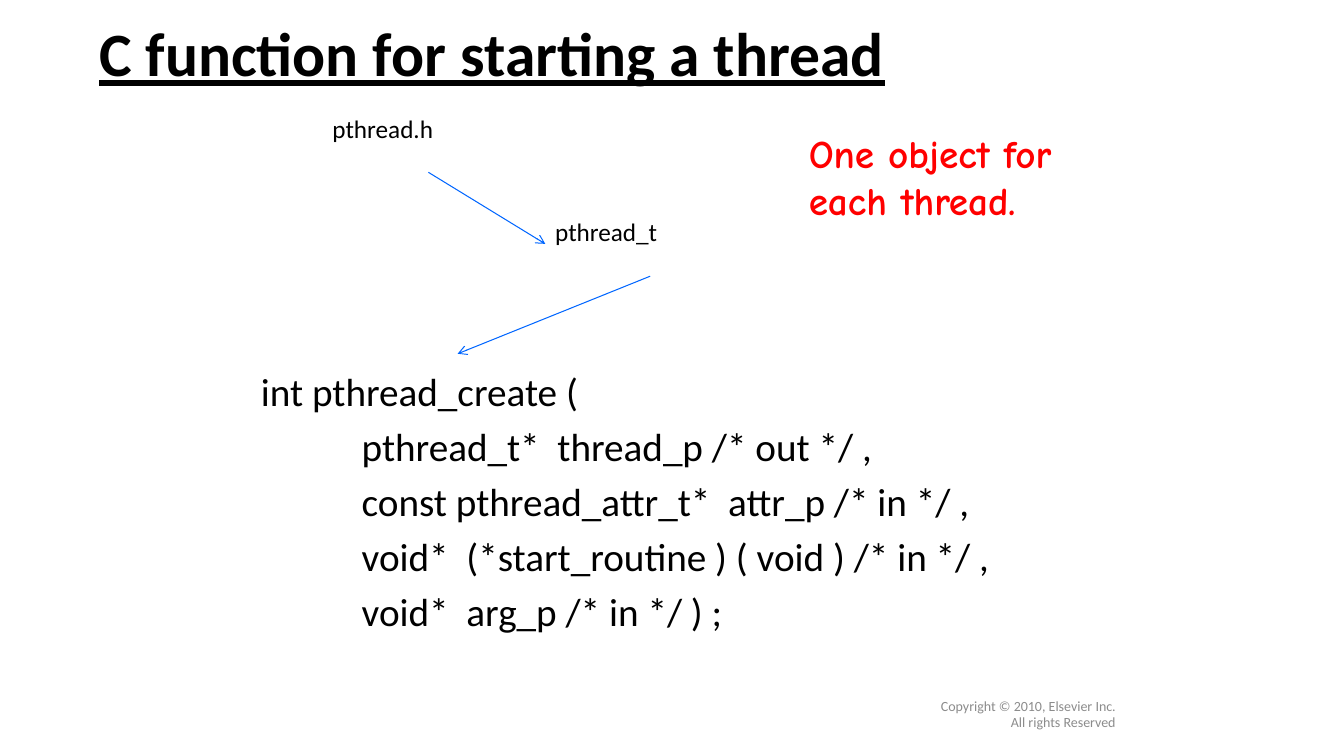
from pptx import Presentation
from pptx.dml.color import RGBColor
from pptx.enum.shapes import MSO_CONNECTOR
from pptx.enum.text import MSO_ANCHOR, MSO_AUTO_SIZE, PP_ALIGN
from pptx.oxml.ns import qn
from pptx.util import Pt
from lxml import etree

LINE = MSO_CONNECTOR.STRAIGHT
TOP, MID = MSO_ANCHOR.TOP, MSO_ANCHOR.MIDDLE
LEFT, RIGHT = PP_ALIGN.LEFT, PP_ALIGN.RIGHT
FIXED = MSO_AUTO_SIZE.NONE

BLACK, GREY, RED, BLUE = "000000", "8C8C8C", "FF0000", "0066FF"

CODE = [
    "int pthread_create (",
    "\tpthread_t*  thread_p /* out */ ,",
    "\tconst pthread_attr_t*  attr_p /* in */ ,",
    "\tvoid*  (*start_routine ) ( void ) /* in */ ,",
    "\tvoid*  arg_p /* in */ ) ;",
]


def color(code):
    return RGBColor.from_string(code)


def place(shape, left, top, width, height):
    shape.left, shape.top = Pt(left), Pt(top)
    shape.width, shape.height = Pt(width), Pt(height)


def add_tab(para, stop):
    tabs = etree.SubElement(para._p.get_or_add_pPr(), qn("a:tabLst"))
    etree.SubElement(tabs, qn("a:tab"), pos=str(Pt(stop)), algn="l")


def write(shape, lines, size=18, font="Calibri", ink=BLACK, bold=False,
          under=False, align=LEFT, anchor=TOP, wrap=True, gap=0, pitch=None,
          tab=None):
    frame = shape.text_frame
    frame.auto_size = FIXED
    frame.word_wrap = wrap
    frame.vertical_anchor = anchor
    for i, line in enumerate(lines):
        para = frame.add_paragraph() if i else frame.paragraphs[0]
        para.alignment = align
        para.space_before = Pt(gap if i else 0)
        if pitch:
            para.line_spacing = pitch
        if tab:
            add_tab(para, tab)
        run = para.add_run()
        run.text = line
        run.font.name, run.font.size = font, Pt(size)
        run.font.bold, run.font.underline = bold, under
        run.font.color.rgb = color(ink)


def label(slide, box, lines, **style):
    shape = slide.shapes.add_textbox(*map(Pt, box))
    write(shape, lines, **style)


def arrow(slide, start, end):
    link = slide.shapes.add_connector(LINE, *map(Pt, start + end))
    link.line.color.rgb = color(BLUE)
    link.line.width = Pt(0.75)
    edge = link.line._get_or_add_ln()
    etree.SubElement(edge, qn("a:tailEnd"), type="arrow")
    etree.SubElement(link._element.spPr, qn("a:effectLst"))


def main():
    deck = Presentation()
    deck.slide_width, deck.slide_height = Pt(960), Pt(540)
    slide = deck.slides.add_slide(deck.slide_layouts[5])

    # Title
    title = slide.shapes.title
    place(title, 63.6, -11.5, 828, 104.4)
    write(title, ["C function for starting a thread"], size=44, bold=True,
          under=True, anchor=MID, pitch=0.9)

    # Copyright line
    label(slide, (654, 492, 150, 36),
          ["Copyright © 2010, Elsevier Inc. All rights Reserved"],
          size=10, ink=GREY, align=RIGHT, anchor=MID)

    # Header, type and function
    label(slide, (230.4, 77.4, 87, 28.8), ["pthread.h"], wrap=False)
    label(slide, (389.5, 151.2, 88.6, 28.8), ["pthread_t"], wrap=False)
    label(slide, (179.3, 258.5, 576.7, 204.5), CODE, size=28, gap=5.8, tab=72)

    # Arrows between them
    arrow(slide, (306, 123.1), (389.5, 174.2))
    arrow(slide, (464.4, 197.3), (326.9, 252.7))

    # Remark
    label(slide, (570.6, 88.6, 209.5, 74.9), ["One object for each thread."],
          size=28, font="Comic Neue", ink=RED, bold=True)

    deck.save("out.pptx")


if __name__ == "__main__":
    main()
